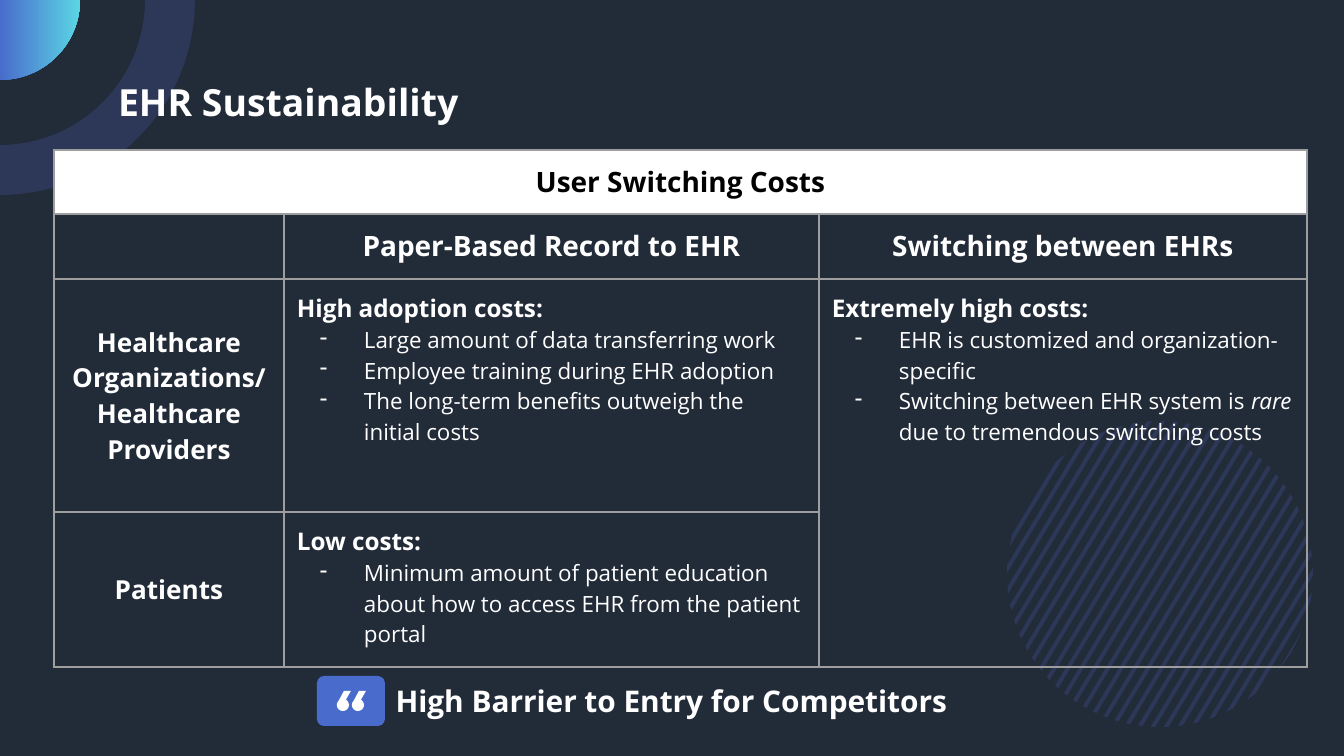
import math
from lxml import etree
from pptx import Presentation
from pptx import util as u
from pptx.dml.color import RGBColor
from pptx.enum import shapes, text
from pptx.oxml.ns import qn

PX = u.Emu(6804)  # one pixel at 134.4 to the inch
NAVY, INDIGO, BLUE, CYAN = "222B38", "2D3859", "496CCC", "5BD5E4"
WHITE, BLACK, GREY = "FFFFFF", "000000", "9E9E9E"
color = RGBColor.from_string

presentation = Presentation()
presentation.slide_width, presentation.slide_height = 1344 * PX, 756 * PX
slide = presentation.slides.add_slide(presentation.slide_layouts[6])
slide.background.fill.solid()
slide.background.fill.fore_color.rgb = color(NAVY)


def arc(x, y, radius, start, end, steps=48):
    angles = [math.radians(start + (end - start) * i / steps) for i in range(steps + 1)]
    return [(x + radius * math.cos(a), y + radius * math.sin(a)) for a in angles]


def add_polygon(points, fill):
    points = [(x * PX, y * PX) for x, y in points]
    builder = slide.shapes.build_freeform(*points[0], scale=1)
    builder.add_line_segments(points[1:], close=True)
    shape = builder.convert_to_shape()
    shape.shadow.inherit = False
    shape.line.fill.background()
    shape.fill.solid()
    shape.fill.fore_color.rgb = color(fill)
    return shape


# Striped disc: slanted bands cut off by a circle
center_x, center_y, radius = 1160, 574, 153
slant = math.radians(31)
across, along = (math.cos(slant), math.sin(slant)), (math.sin(slant), -math.cos(slant))
stripe_count, stripe_width, first, last = 27, 4, -147, 151
for i in range(stripe_count):
    near = first + i * (last - first) / (stripe_count - 1)
    far = min(near + stripe_width, radius)
    corners = []
    for offset, side in [(near, 1), (near, -1), (far, -1), (far, 1)]:
        reach = side * math.sqrt(radius ** 2 - offset ** 2)
        corners.append((center_x + offset * across[0] + reach * along[0],
                        center_y + offset * across[1] + reach * along[1]))
    add_polygon(corners, INDIGO)

# Corner ring and gradient quarter disc
add_polygon(arc(0, 0, 195, 0, 90) + arc(0, 0, 145, 90, 0), INDIGO)
quarter = add_polygon([(0, 0)] + arc(0, 0, 80, 0, 90), BLUE)
quarter.fill.gradient()
quarter.fill.gradient_angle = 0
for stop, shade in zip(quarter.fill.gradient_stops, (BLUE, CYAN)):
    stop.color.rgb = color(shade)

# Title and closing line
title = slide.shapes.add_textbox(105 * PX, 66 * PX, 1134 * PX, 85 * PX)
closing = slide.shapes.add_textbox(297 * PX, 671 * PX, 749 * PX, 59 * PX)
for box in (title, closing):
    box.text_frame.word_wrap = True

# Quote badge
badge = slide.shapes.add_shape(shapes.MSO_SHAPE.ROUNDED_RECTANGLE,
                               317 * PX, 676 * PX, 68 * PX, 50 * PX)
badge.adjustments[0] = 0.14
badge.shadow.inherit = False
badge.fill.solid()
badge.fill.fore_color.rgb = color(BLUE)
badge.line.fill.background()
for left in (337, 352):
    add_polygon([(left + 7, 691)] + arc(left + 6, 705, 6, 225, -60) + [(left + 14, 691)], WHITE)

# Table grid
widths, heights = (230, 535, 488), (64, 65, 233, 155)
table = slide.shapes.add_table(len(heights), len(widths), 54 * PX, 150 * PX,
                               sum(widths) * PX, sum(heights) * PX).table
table.first_row = table.horz_banding = False
for column, width in zip(table.columns, widths):
    column.width = width * PX
for row, height in zip(table.rows, heights):
    row.height = height * PX
for cell in table.iter_cells():
    cell.fill.background()
    etree.SubElement(cell.text_frame.paragraphs[0]._p, qn("a:endParaRPr"), sz="1500")
    properties = cell._tc.get_or_add_tcPr()
    for i, edge in enumerate(("lnL", "lnR", "lnT", "lnB")):
        border = etree.Element(qn("a:" + edge), w=str(u.Pt(0.75)))
        solid = etree.SubElement(border, qn("a:solidFill"))
        etree.SubElement(solid, qn("a:srgbClr"), val=GREY)
        properties.insert(i, border)
banner = table.cell(0, 0)
banner.merge(table.cell(0, 2))
banner.fill.solid()
banner.fill.fore_color.rgb = color(WHITE)
table.cell(2, 2).merge(table.cell(3, 2))

# Text: holder, anchor, alignment, paragraphs as (style, words); *...* is italic
styles = {
    "title": {"size": u.Pt(20), "bold": True},
    "closing": {"size": u.Pt(16), "bold": True},
    "header": {"size": u.Pt(15), "bold": True},
    "label": {"size": u.Pt(14), "bold": True},
    "lead": {"size": u.Pt(13), "bold": True},
    "bullet": {"size": u.Pt(12), "bold": False},
}
TOP, MIDDLE = text.MSO_ANCHOR.TOP, text.MSO_ANCHOR.MIDDLE
LEFT, CENTER = text.PP_ALIGN.LEFT, text.PP_ALIGN.CENTER
contents = [
    (title.text_frame, TOP, LEFT, [("title", "EHR Sustainability")]),
    (closing.text_frame, MIDDLE, CENTER,
     [("closing", "High Barrier to Entry for Competitors")]),
    (banner, TOP, CENTER, [("header", "User Switching Costs")]),
    (table.cell(1, 1), TOP, CENTER, [("header", "Paper-Based Record to EHR")]),
    (table.cell(1, 2), TOP, CENTER, [("header", "Switching between EHRs")]),
    (table.cell(2, 0), MIDDLE, CENTER, [
        ("label", "Healthcare Organizations/"),
        ("label", "Healthcare"),
        ("label", "Providers")]),
    (table.cell(2, 1), TOP, LEFT, [
        ("lead", "High adoption costs:"),
        ("bullet", "Large amount of data transferring work"),
        ("bullet", "Employee training during EHR adoption"),
        ("bullet", "The long-term benefits outweigh the initial costs")]),
    (table.cell(2, 2), TOP, LEFT, [
        ("lead", "Extremely high costs:"),
        ("bullet", "EHR is customized and organization-specific"),
        ("bullet", "Switching between EHR system is *rare* due to tremendous switching costs")]),
    (table.cell(3, 0), MIDDLE, CENTER, [("label", "Patients")]),
    (table.cell(3, 1), TOP, LEFT, [
        ("lead", "Low costs:"),
        ("bullet", "Minimum amount of patient education about how to access EHR "
                   "from the patient portal")]),
]
for holder, anchor, alignment, lines in contents:
    holder.vertical_anchor = anchor
    for side in ("left", "right", "top", "bottom"):
        setattr(holder, "margin_" + side, 13 * PX)
    frame = getattr(holder, "text_frame", holder)
    for i, (style, words) in enumerate(lines):
        paragraph = frame.add_paragraph() if i else frame.paragraphs[0]
        paragraph.alignment = alignment
        if style == "bullet":
            properties = paragraph._p.get_or_add_pPr()
            properties.set("marL", str(67 * PX))
            properties.set("indent", str(-44 * PX))
            tint = etree.SubElement(properties, qn("a:buClr"))
            etree.SubElement(tint, qn("a:srgbClr"), val=WHITE)
            etree.SubElement(properties, qn("a:buChar"), char="-")
        for j, part in enumerate(words.split("*")):
            run = paragraph.add_run()
            run.text = part
            run.font.color.rgb = color(BLACK if holder is banner else WHITE)
            for name, value in {"name": "Open Sans", "italic": j % 2 == 1, **styles[style]}.items():
                setattr(run.font, name, value)

presentation.save("out.pptx")
